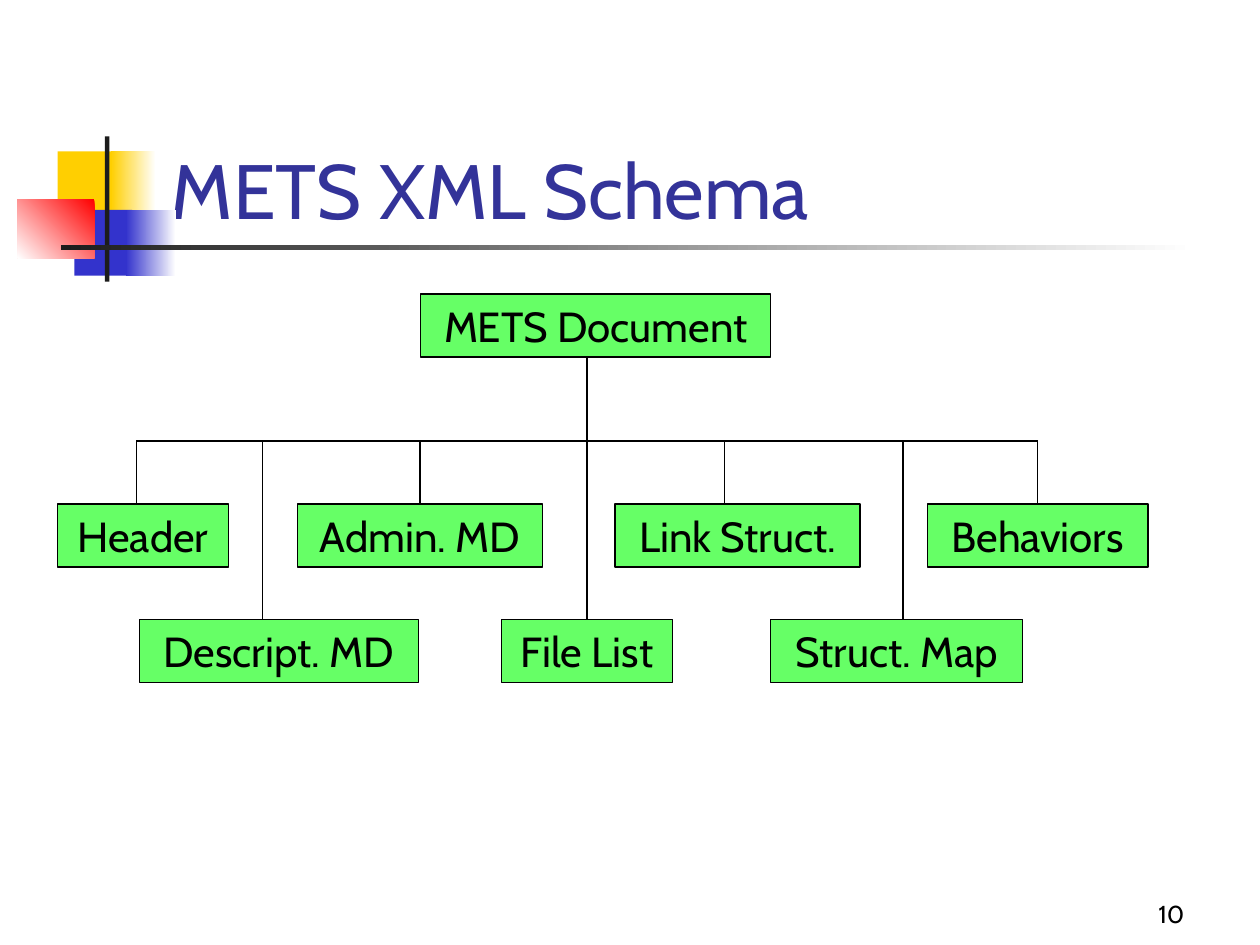
import pptx
import pptx.util
import pptx.dml.color
import pptx.enum.text
import pptx.enum.shapes
import pptx.oxml.ns
from lxml import etree

Pt = pptx.util.Pt
Align = pptx.enum.text.PP_ALIGN
Anchor = pptx.enum.text.MSO_ANCHOR
Fit = pptx.enum.text.MSO_AUTO_SIZE
RECT = pptx.enum.shapes.MSO_SHAPE.RECTANGLE
STRAIGHT = pptx.enum.shapes.MSO_CONNECTOR.STRAIGHT


def color(code):
    return pptx.dml.color.RGBColor.from_string(code)


def write(shape, text, size=24, ink="000000", align=Align.CENTER,
          anchor=Anchor.TOP, wrap=True, fit=Fit.NONE):
    frame = shape.text_frame
    frame.text = text
    frame.word_wrap = wrap
    frame.auto_size = fit
    frame.vertical_anchor = anchor
    para = frame.paragraphs[0]
    para.alignment = align
    font = para.runs[0].font
    font.name, font.size = "Cabin", Pt(size)
    font.color.rgb = color(ink)


def add_rect(slide, left, top, width, height, fill, line=None, angle=0):
    """A fill of two colours, as a tuple, makes a gradient."""
    rect = slide.shapes.add_shape(RECT, Pt(left), Pt(top), Pt(width), Pt(height))
    rect.shadow.inherit = False
    if isinstance(fill, tuple):
        rect.fill.gradient()
        rect.fill.gradient_angle = angle
        for stop, place, code in zip(rect.fill.gradient_stops, (0, 1), fill):
            stop.position = place
            stop.color.rgb = color(code)
    else:
        rect.fill.solid()
        rect.fill.fore_color.rgb = color(fill)
    if line:
        rect.line.color.rgb = color(line)
        rect.line.width = Pt(0.75)
    else:
        rect.line.fill.background()
    return rect


def add_line(slide, x1, y1, x2, y2):
    line = slide.shapes.add_connector(STRAIGHT, Pt(x1), Pt(y1), Pt(x2), Pt(y2))
    line.line.color.rgb = color("000000")
    line.line.width = Pt(0.75)
    etree.SubElement(line._element.spPr, pptx.oxml.ns.qn("a:effectLst"))
    return line


def add_motif(slide, left, top):
    """Coloured squares with a crossing pair of bars."""
    parts = [
        (23, 8.5, 34.5, 37.5, "FFCF01", 0),
        (53.5, 8.5, 25.5, 37.5, ("FFFFFF", "FFCF01"), 180),
        (32.5, 42, 33, 37.5, "3333CC", 0),
        (62, 42, 28.5, 37.5, ("FFFFFF", "3333CC"), 180),
        (0, 36, 44, 33.5, ("FF0000", "FFFFFF"), 225),
        (50, 0, 2.5, 83, "1C1C1C", 0),
        (25, 62.3, 648, 2.5, ("FFFFFF", "1C1C1C"), 180),
    ]
    for x, y, width, height, fill, angle in parts:
        add_rect(slide, left + x, top + y, width, height, fill, angle=angle)


def add_title(slide, text, left, top, width, height):
    title = slide.shapes.title
    title.left, title.top = Pt(left), Pt(top)
    title.width, title.height = Pt(width), Pt(height)
    write(title, text, size=44, ink="333399", align=Align.LEFT,
          anchor=Anchor.BOTTOM)


def add_tree(slide, left, top):
    """A root box, a crossbar, and leaves hung in two staggered rows."""
    tall, bar, rows = 36, top + 84, (top + 120, top + 186)

    def add_node(text, x, y, width):
        node = add_rect(slide, left + x, y, width, tall, "66FF66", "000000")
        write(node, text, wrap=False, fit=Fit.SHAPE_TO_FIT_TEXT)
        return node

    # Text, left, width, x of the line (None: middle of the box)
    leaves = [
        ("Header", 0, 97.5, 45),
        ("Descript. MD", 46.5, 159.5, 117),
        ("Admin. MD", 137, 140, None),
        ("File List", 253.5, 98, None),
        ("Link Struct.", 318.5, 140, 381),
        ("Struct. Map", 407.5, 144, 483),
        ("Behaviors", 497, 126, None),
    ]
    add_node("METS Document", 207.5, top, 200)
    stems = []
    for i, (text, x, width, stem) in enumerate(leaves):
        y = rows[i % 2]
        node = add_node(text, x, y, width)
        at = left + (x + width / 2 if stem is None else stem)
        line = add_line(slide, at, bar, at, y)
        if stem is None:
            line.end_connect(node, 0)
        stems.append(at)

    # Crossbar and trunk
    add_line(slide, stems[0], bar, stems[-1], bar)
    middle = stems[len(stems) // 2]
    add_line(slide, middle, top + tall, middle, bar)


def add_number(slide, text, left, top, width, height):
    box = slide.shapes.add_textbox(Pt(left), Pt(top), Pt(width), Pt(height))
    write(box, text, size=14, align=Align.RIGHT, anchor=Anchor.BOTTOM)


def main():
    deck = pptx.Presentation()
    deck.slide_width, deck.slide_height = Pt(720), Pt(540)
    slide = deck.slides.add_slide(deck.slide_layouts[5])
    add_motif(slide, 10, 78)
    add_title(slide, "METS XML Schema", 90.5, 48, 613.5, 90)
    add_tree(slide, 33, 168)
    add_number(slide, "10", 534, 498, 150, 36)
    deck.save("out.pptx")


if __name__ == "__main__":
    main()
